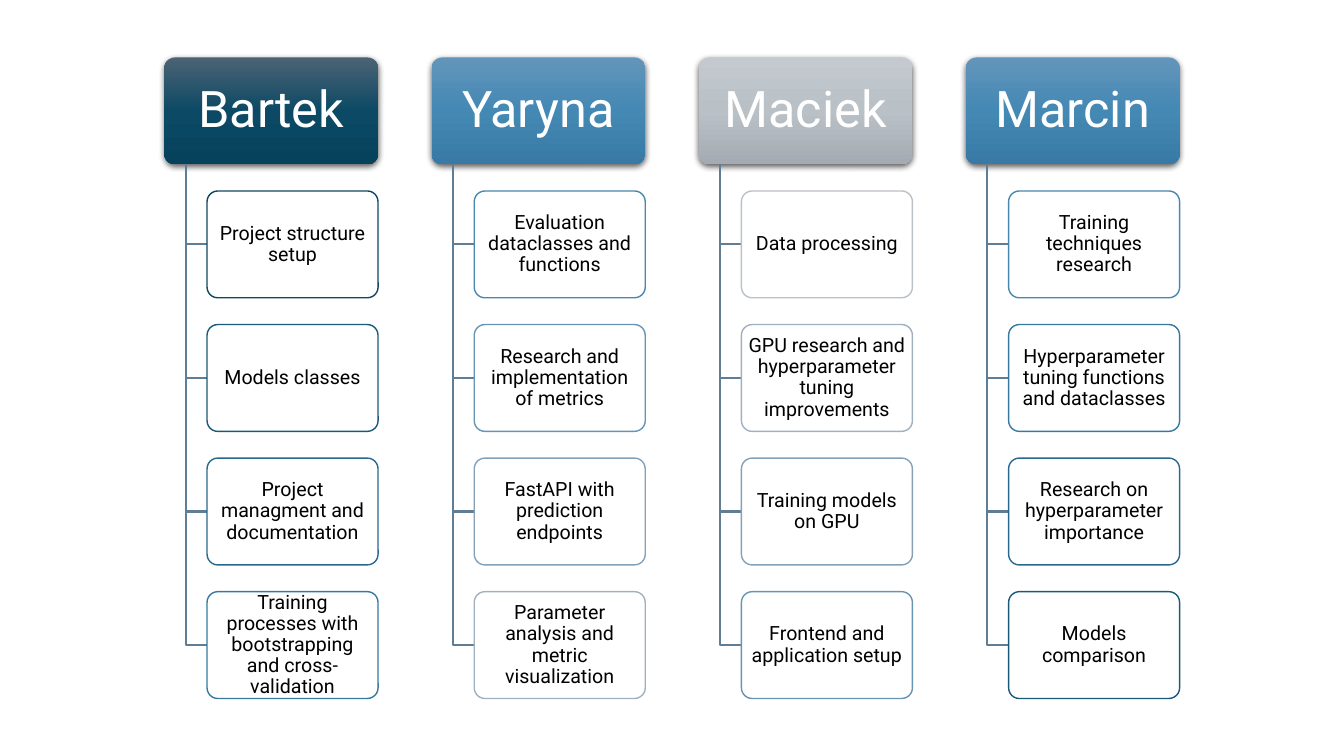
from copy import deepcopy
from dataclasses import dataclass

from lxml import etree
from pptx import Presentation
from pptx import util as u
from pptx.dml.color import RGBColor
from pptx.enum import shapes, text
from pptx.oxml import ns


@dataclass(frozen=True)
class Theme:
    font: str = "Roboto"
    name_size: int = 36
    task_size: int = 14
    name_text: str = "FFFFFF"
    task_text: str = "000000"
    task_fill: str = "FFFFFF"
    branch: str = "5F7D95"
    navy: tuple = ("4C6375", "0C4964", "07425D")
    blue: tuple = ("6395BA", "4488B4", "387AA5")
    grey: tuple = ("C3C9CE", "B9C1C7", "A4ABB2")
    # Task outlines, running from dark blue to light grey
    outlines: tuple = ("104760", "1A5978", "27698D", "37789F", "4987AF",
                       "6794B3", "85A1B7", "A1B0BE", "BAC1C7")


THEME = Theme()
SLIDE_W, SLIDE_H = 13.33, 7.5

# Grid: cards are twice as wide as high, gaps are a quarter of a card
CARD_W, CARD_H = 2.12, 1.06
COLUMN_STEP, ROW_STEP = CARD_W * 1.25, CARD_H * 1.25
INDENT = CARD_W / 10
LEFT, TOP = 1.63, 0.57

# Name, header gradient, then each task with its place on the outline scale
TEAM = [
    ("Bartek", THEME.navy, [
        ("Project structure setup", 0),
        ("Models classes", 1),
        ("Project managment and documentation", 2),
        ("Training processes with bootstrapping and cross-validation", 3)]),
    ("Yaryna", THEME.blue, [
        ("Evaluation dataclasses and functions", 4),
        ("Research and implementation of metrics", 5),
        ("FastAPI with prediction endpoints", 6),
        ("Parameter analysis and metric visualization", 7)]),
    ("Maciek", THEME.grey, [
        ("Data processing", 8),
        ("GPU research and hyperparameter tuning improvements", 7),
        ("Training models on GPU", 6),
        ("Frontend and application setup", 5)]),
    ("Marcin", THEME.blue, [
        ("Training techniques research", 4),
        ("Hyperparameter tuning functions and dataclasses", 3),
        ("Research on hyperparameter importance", 2),
        ("Models comparison", 1)]),
]


def rgb(value):
    return RGBColor.from_string(value)


def add_effect_child(parent, tag, **attributes):
    return etree.SubElement(parent, ns.qn(tag), attributes)


def add_card(slide, box, wording, size, color, insets):
    """Rounded card with centred wording."""
    card = slide.shapes.add_shape(shapes.MSO_SHAPE.ROUNDED_RECTANGLE,
                                  *(u.Inches(side) for side in box))
    card.adjustments[0] = 0.1
    card.shadow.inherit = False
    frame = card.text_frame
    frame.text = wording
    frame.word_wrap = True
    frame.vertical_anchor = text.MSO_ANCHOR.MIDDLE
    frame.margin_left = frame.margin_right = u.Inches(insets[0])
    frame.margin_top = frame.margin_bottom = u.Inches(insets[1])
    paragraph = frame.paragraphs[0]
    paragraph.alignment = text.PP_ALIGN.CENTER
    paragraph.line_spacing = 0.9
    font = paragraph.runs[0].font
    font.name, font.size = THEME.font, u.Pt(size)
    font.color.rgb = rgb(color)
    return card


def add_name(slide, box, name, gradient):
    """Header card with a three-stop gradient and a soft shadow."""
    header = add_card(slide, box, name, THEME.name_size, THEME.name_text,
                      (0.07, 0.05))
    header.line.fill.background()
    header.fill.gradient()
    header.fill.gradient_angle = 270
    properties = header.element.spPr
    stops = properties.find(".//" + ns.qn("a:gsLst"))
    stops.insert(1, deepcopy(stops[0]))
    for stop, color, position in zip(header.fill.gradient_stops, gradient,
                                     (0, 0.5, 1)):
        stop.color.rgb = rgb(color)
        stop.position = position
    effects = properties.find(ns.qn("a:effectLst"))
    shadow = add_effect_child(effects, "a:outerShdw", blurRad="57150",
                              dist="19050", dir="5400000", algn="ctr",
                              rotWithShape="0")
    shade = add_effect_child(shadow, "a:srgbClr", val="000000")
    add_effect_child(shade, "a:alpha", val="63000")


def add_task(slide, box, task, outline):
    """Slightly see-through white card with a coloured outline."""
    card = add_card(slide, box, task, THEME.task_size, THEME.task_text,
                    (0.03, 0.02))
    card.fill.solid()
    card.fill.fore_color.rgb = rgb(THEME.task_fill)
    shade = card.element.spPr.find(
        ns.qn("a:solidFill") + "/" + ns.qn("a:srgbClr"))
    add_effect_child(shade, "a:alpha", val="90000")
    card.line.color.rgb = rgb(outline)
    card.line.width = u.Pt(1)


def add_branch(slide, x, top, bottom):
    """Elbow from the header down and across to a task."""
    builder = slide.shapes.build_freeform(u.Inches(x), u.Inches(top))
    builder.add_line_segments([(u.Inches(x), u.Inches(bottom)),
                               (u.Inches(x + INDENT), u.Inches(bottom))],
                              close=False)
    branch = builder.convert_to_shape()
    branch.shadow.inherit = False
    branch.fill.background()
    branch.line.color.rgb = rgb(THEME.branch)
    branch.line.width = u.Pt(1.5)


def add_member(slide, left, top, name, gradient, tasks):
    """One column: the person's name above their tasks."""
    add_name(slide, (left, top, CARD_W, CARD_H), name, gradient)
    for row, (task, shade) in enumerate(tasks, start=1):
        task_top = top + row * ROW_STEP
        add_branch(slide, left + INDENT, top + CARD_H, task_top + CARD_H / 2)
        add_task(slide, (left + 2 * INDENT, task_top, CARD_W * 0.8, CARD_H),
                 task, THEME.outlines[shade])


def main():
    deck = Presentation()
    deck.slide_width, deck.slide_height = u.Inches(SLIDE_W), u.Inches(SLIDE_H)
    slide = deck.slides.add_slide(deck.slide_layouts[6])
    for column, member in enumerate(TEAM):
        add_member(slide, LEFT + column * COLUMN_STEP, TOP, *member)
    deck.save("out.pptx")


if __name__ == "__main__":
    main()
